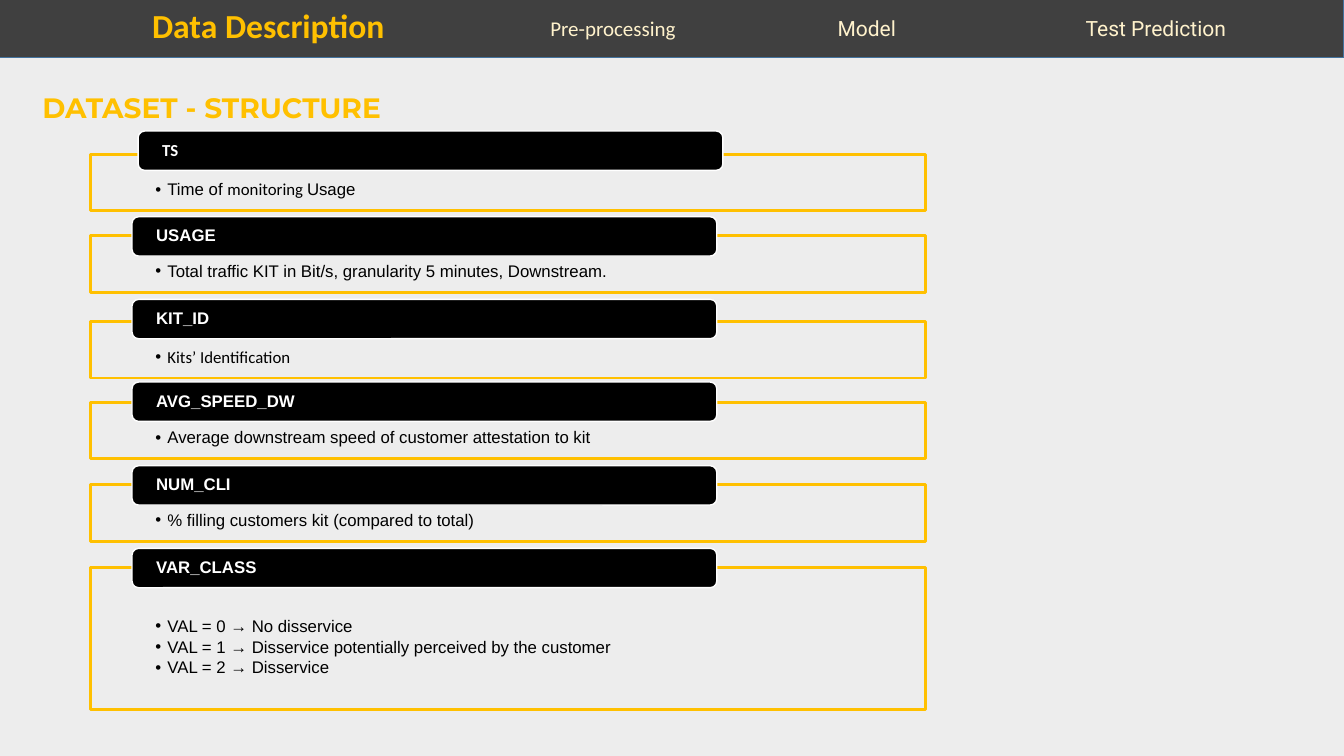
"""Build the dataset structure slide with its navigation bar and field cards."""
from lxml.etree import SubElement
from pptx import Presentation
from pptx.dml.color import RGBColor
from pptx.enum.shapes import MSO_SHAPE
from pptx.enum.text import MSO_ANCHOR, PP_ALIGN
from pptx.oxml.ns import qn
from pptx.util import Inches, Pt

GOLD = RGBColor(0xFF, 0xC0, 0x00)
CREAM = RGBColor(0xFF, 0xF2, 0xCC)
PALE = RGBColor(0xED, 0xED, 0xED)
DARK = RGBColor(0x40, 0x40, 0x40)
BLUE = RGBColor(0x43, 0x73, 0x9E)
BLACK = RGBColor(0, 0, 0)
WHITE = RGBColor(0xFF, 0xFF, 0xFF)


def write(para, text, font, size, color, bold=False):
    run = para.add_run()
    run.text = text
    run.font.color.rgb = color
    look = {"name": font, "size": Pt(size), "bold": bold}
    for key, val in look.items():
        setattr(run.font, key, val)


def style(shape, place, fill, line, width):
    for key, val in zip(("left", "top", "width", "height"), place):
        setattr(shape, key, Inches(val))
    shape.fill.solid()
    shape.fill.fore_color.rgb = fill
    shape.line.color.rgb = line
    shape.line.width = Pt(width)


prs = Presentation()
prs.slide_width, prs.slide_height = Inches(13.33), Inches(7.5)
slide = prs.slides.add_slide(prs.slide_layouts[1])
slide.background.fill.solid()
slide.background.fill.fore_color.rgb = PALE
shapes = slide.shapes

title = shapes.title
spot = {"left": 0.32, "top": 0.7, "width": 9.98, "height": 0.56}
for key, val in spot.items():
    setattr(title, key, Inches(val))
title.text_frame.vertical_anchor = MSO_ANCHOR.MIDDLE
para = title.text_frame.paragraphs[0]
para.alignment = PP_ALIGN.LEFT
para.line_spacing = Pt(35.6)
write(para, "DATASET - STRUCTURE", "Montserrat", 20, GOLD, True)

bar = shapes.add_shape(MSO_SHAPE.RECTANGLE, 0, 0, 0, 0)
bar.shadow.inherit = False
style(bar, (-0.03, -0.03, 13.36, 0.6), DARK, BLUE, 1)

tabs = [
    ("Data Description", 1.41, 0, 2.53, 0.5, "Calibri", 24, GOLD, True),
    ("Pre-processing", 5.36, 0.1, 2.13, 0.35, "Calibri", 15, CREAM, False),
    ("Model", 8.21, 0.1, 1.94, 0.35, "Roboto", 15, CREAM, False),
    ("Test Prediction", 10.67, 0.1, 2.34, 0.35, "Roboto", 15, CREAM, False),
]
for text, left, top, width, high, font, size, color, bold in tabs:
    box = shapes.add_textbox(Inches(left), Inches(top), Inches(width), Inches(high))
    box.text_frame.word_wrap = True
    write(box.text_frame.paragraphs[0], text, font, size, color, bold)

cards = [
    ("TS", "Calibri", 1.37, 1.3, 1.53,
     [[("Time of ", "Arial"), ("monitoring ", "Calibri"), ("Usage", "Arial")]]),
    ("USAGE", "Arial", 1.31, 2.15, 2.34,
     [[("Total traffic KIT in Bit/s, granularity 5 minutes, Downstream.", "Arial")]]),
    ("KIT_ID", "Arial", 1.31, 2.97, 3.19, [[("Kits’ Identification", "Calibri")]]),
    ("AVG_SPEED_DW", "Arial", 1.31, 3.79, 3.99,
     [[("Average downstream speed of customer attestation to kit", "Arial")]]),
    ("NUM_CLI", "Arial", 1.31, 4.62, 4.81,
     [[("% filling customers kit (compared to total)", "Arial")]]),
    ("VAR_CLASS", "Arial", 1.31, 5.44, 5.63,
     [[("VAL = 0 → No disservice", "Arial")],
      [("VAL = 1 → Disservice potentially perceived by the customer", "Arial")],
      [("VAL = 2 → Disservice", "Arial")]]),
]
for name, font, left, top, edge, items in cards:
    many = len(items) > 1
    if many:
        box = slide.placeholders[1]
    else:
        box = shapes.add_shape(MSO_SHAPE.RECTANGLE, 0, 0, 0, 0)
        box.shadow.inherit = False
    style(box, (0.9, edge, 8.28, 1.41 if many else 0.56), PALE, GOLD, 2)
    tint = box.fill._xPr.find(qn("a:solidFill"))[0]
    SubElement(tint, qn("a:alpha"), val="90000")
    frame = box.text_frame
    look = {"margin_left": Inches(0.64), "margin_right": Inches(0.64),
            "margin_top": Inches(0.5 if many else 0.27),
            "margin_bottom": Inches(0.09),
            "vertical_anchor": MSO_ANCHOR.TOP, "word_wrap": True}
    for key, val in look.items():
        setattr(frame, key, val)
    for num, runs in enumerate(items):
        para = frame.add_paragraph() if num else frame.paragraphs[0]
        look = {"alignment": PP_ALIGN.LEFT, "line_spacing": 0.9,
                "space_before": Pt(0), "space_after": Pt(1.8)}
        for key, val in look.items():
            setattr(para, key, val)
        props = para._p.get_or_add_pPr()
        props.set("marL", str(Inches(0.12)))
        props.set("indent", str(-Inches(0.12)))
        SubElement(props, qn("a:buFont"), typeface="Arial")
        SubElement(props, qn("a:buChar"), char="•")
        for text, face in runs:
            write(para, text, face, 12, BLACK)

    tab = shapes.add_shape(MSO_SHAPE.ROUNDED_RECTANGLE, 0, 0, 0, 0)
    tab.shadow.inherit = False
    style(tab, (left, top, 5.8, 0.39), BLACK, WHITE, 1)
    look = {"margin_left": Inches(0.22), "margin_right": Inches(0.22),
            "margin_top": 0, "margin_bottom": 0,
            "vertical_anchor": MSO_ANCHOR.MIDDLE}
    for key, val in look.items():
        setattr(tab.text_frame, key, val)
    para = tab.text_frame.paragraphs[0]
    para.alignment = PP_ALIGN.LEFT
    para.line_spacing = 0.9
    write(para, name, font, 12, WHITE, True)

prs.save("out.pptx")
